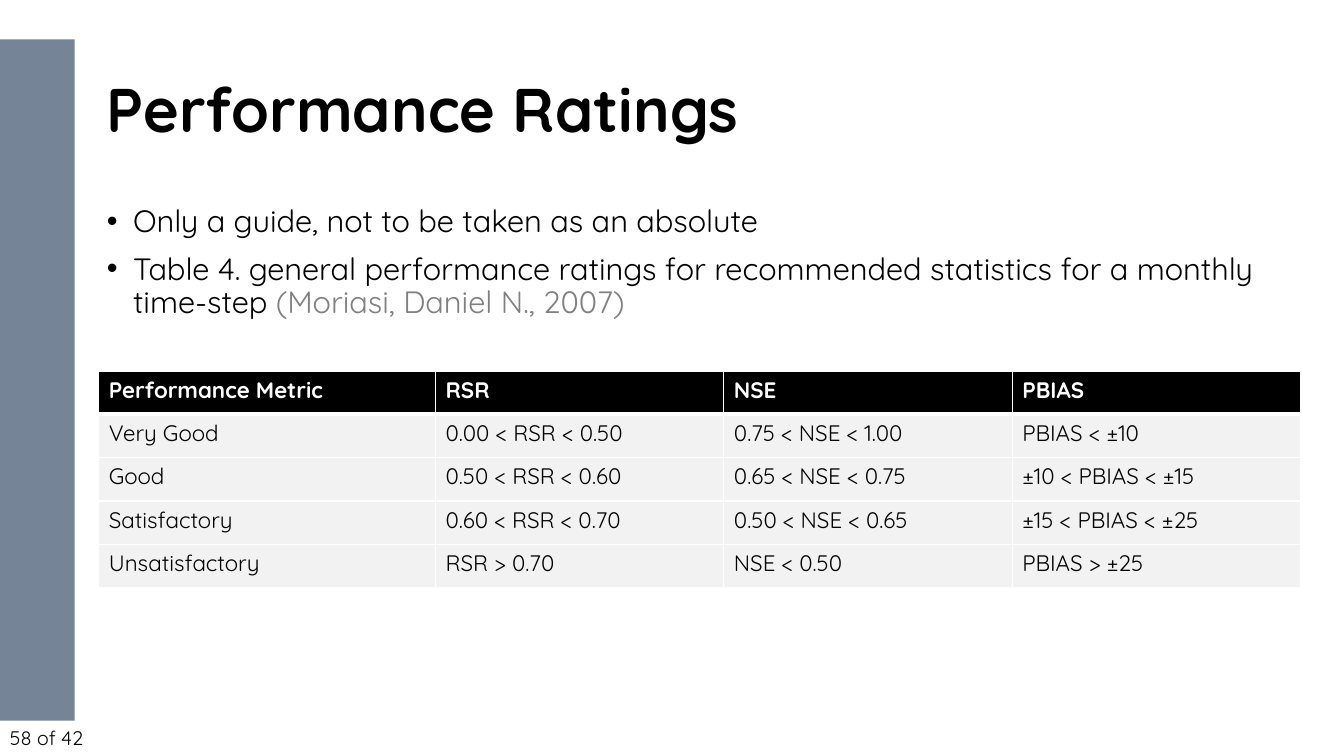
from lxml import etree
from pptx import Presentation
from pptx.dml.color import RGBColor
from pptx.enum import shapes, text
from pptx.oxml import ns
from pptx.util import Inches, Pt

BLACK = RGBColor(0, 0, 0)
WHITE = RGBColor(255, 255, 255)
GRAY = RGBColor(0x80, 0x80, 0x80)
PALE = RGBColor(0xF2, 0xF2, 0xF2)
SLATE = RGBColor(0x48, 0x5C, 0x73)


def write(par, words, size=16, color=BLACK, bold=False):
    run = par.add_run()
    run.text = words
    font = run.font
    font.name, font.size, font.bold = "Quicksand", Pt(size), bold
    font.color.rgb = color


def add(parent, tag, **attrs):
    return etree.SubElement(parent, ns.qn(tag), **attrs)


prs = Presentation()
prs.slide_width, prs.slide_height = Inches(13.33), Inches(7.5)
slide = prs.slides.add_slide(prs.slide_layouts[5])

# Page number
page = slide.shapes.add_textbox(Inches(0), Inches(7.13), Inches(2.09), Inches(0.37))
page.text_frame.word_wrap = True
page.text_frame.vertical_anchor = text.MSO_ANCHOR.MIDDLE
write(page.text_frame.paragraphs[0], "58 of 42", size=14)

# Translucent side band
band = slide.shapes.add_shape(
    shapes.MSO_SHAPE.RECTANGLE, Inches(0), Inches(0.39), Inches(0.74), Inches(6.76))
band.shadow.inherit = False
band.fill.solid()
band.fill.fore_color.rgb = SLATE
band.line.fill.background()
tint = band.fill._xPr.find(".//" + ns.qn("a:srgbClr"))
add(tint, "a:alpha", val="75000")

# Title and body frames
title = slide.shapes.title
title.left, title.top = Inches(0.98), Inches(0.39)
title.width, title.height = Inches(11.91), Inches(1.45)
body = slide.shapes.add_textbox(Inches(0.98), Inches(2), Inches(11.9), Inches(5.15))
for box in (title, body):
    frame = box.text_frame
    frame.word_wrap = True
    frame.auto_size = text.MSO_AUTO_SIZE.NONE
    frame.margin_left = frame.margin_right = Inches(0.08)
    frame.margin_top = frame.margin_bottom = Inches(0.04)

title.text_frame.vertical_anchor = text.MSO_ANCHOR.MIDDLE
head = title.text_frame.paragraphs[0]
head.alignment = text.PP_ALIGN.LEFT
head.line_spacing = 0.9
write(head, "Performance Ratings", size=44, bold=True)

# Bullets: each is a list of text and colour parts
bullets = [
    [("Only a guide, not to be taken as an absolute", BLACK)],
    [("Table 4. general performance ratings for recommended statistics "
      "for a monthly time-step ", BLACK),
     ("(Moriasi, Daniel N., 2007)", GRAY)],
]
for i, parts in enumerate(bullets):
    par = body.text_frame.add_paragraph() if i else body.text_frame.paragraphs[0]
    props = par._p.get_or_add_pPr()
    props.set("marL", str(Inches(0.26)))
    props.set("indent", str(-Inches(0.26)))
    add(props, "a:buFont", typeface="Arial")
    add(props, "a:buChar", char="•")
    par.line_spacing = 0.9
    if i:
        par.space_before = Pt(10.4)
    for words, color in parts:
        write(par, words, size=22, color=color)

# Ratings table
ratings = [
    ("Performance Metric", "RSR", "NSE", "PBIAS"),
    ("Very Good", "0.00 < RSR < 0.50", "0.75 < NSE < 1.00", "PBIAS < ±10"),
    ("Good", "0.50 < RSR < 0.60", "0.65 < NSE < 0.75", "±10 < PBIAS < ±15"),
    ("Satisfactory", "0.60 < RSR < 0.70", "0.50 < NSE < 0.65", "±15 < PBIAS < ±25"),
    ("Unsatisfactory", "RSR > 0.70", "NSE < 0.50", "PBIAS > ±25"),
]
table = slide.shapes.add_table(
    len(ratings), 4, Inches(0.98), Inches(3.68), Inches(11.91), Inches(2.15)).table
for col, width in zip(table.columns, (3.34, 2.86, 2.86, 2.86)):
    col.width = Inches(width)

for r, row in enumerate(ratings):
    top = r == 0
    for c, words in enumerate(row):
        cell = table.cell(r, c)
        props = cell._tc.get_or_add_tcPr()
        for side in "LRTB":
            thick = (top and side == "B") or (r == 1 and side == "T")
            line = add(props, "a:ln" + side, w=str(Pt(3 if thick else 1)))
            add(add(line, "a:solidFill"), "a:srgbClr", val=str(WHITE))
        cell.fill.solid()
        cell.fill.fore_color.rgb = BLACK if top else PALE
        write(cell.text_frame.paragraphs[0], words,
              color=WHITE if top else BLACK, bold=top)

prs.save("out.pptx")
